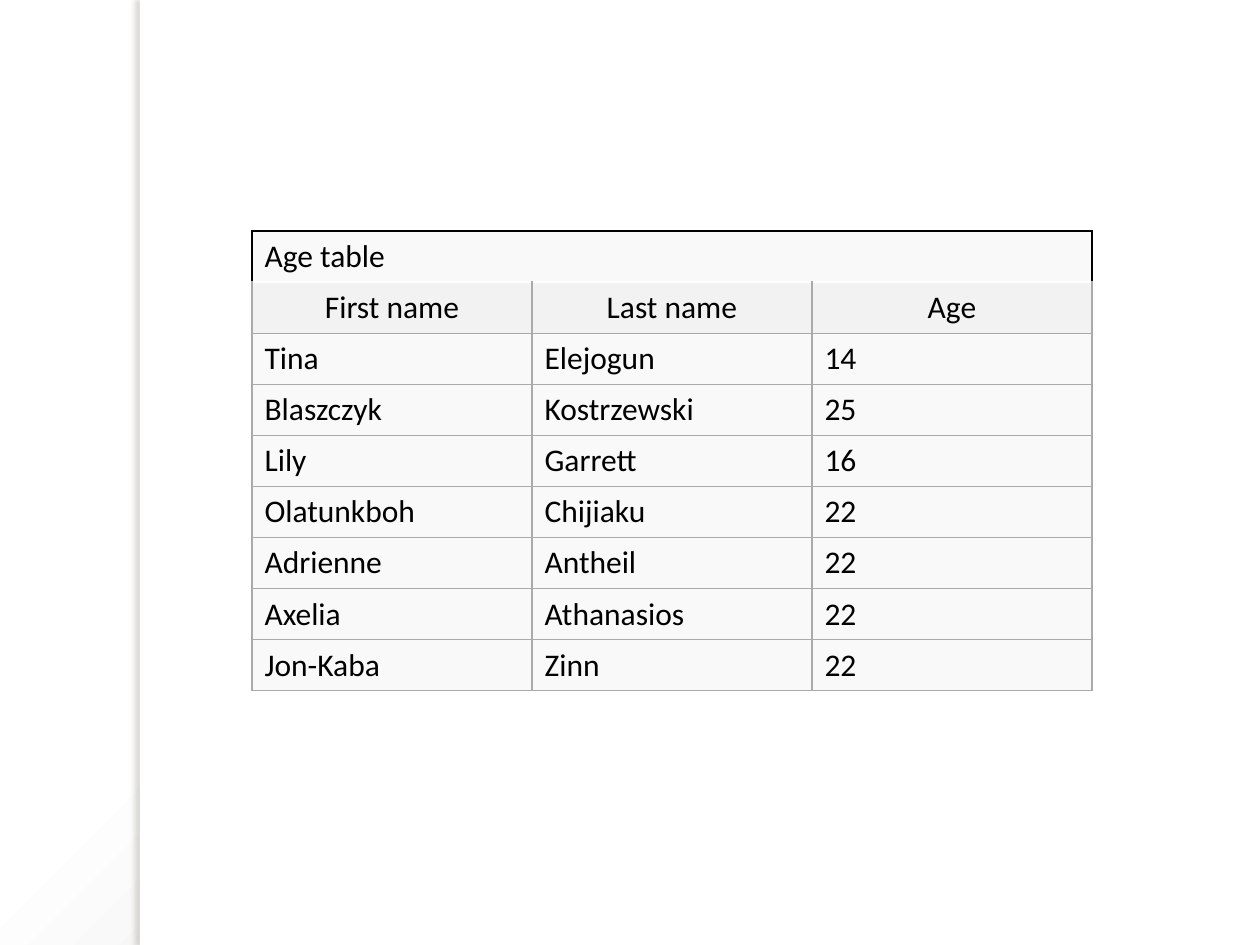
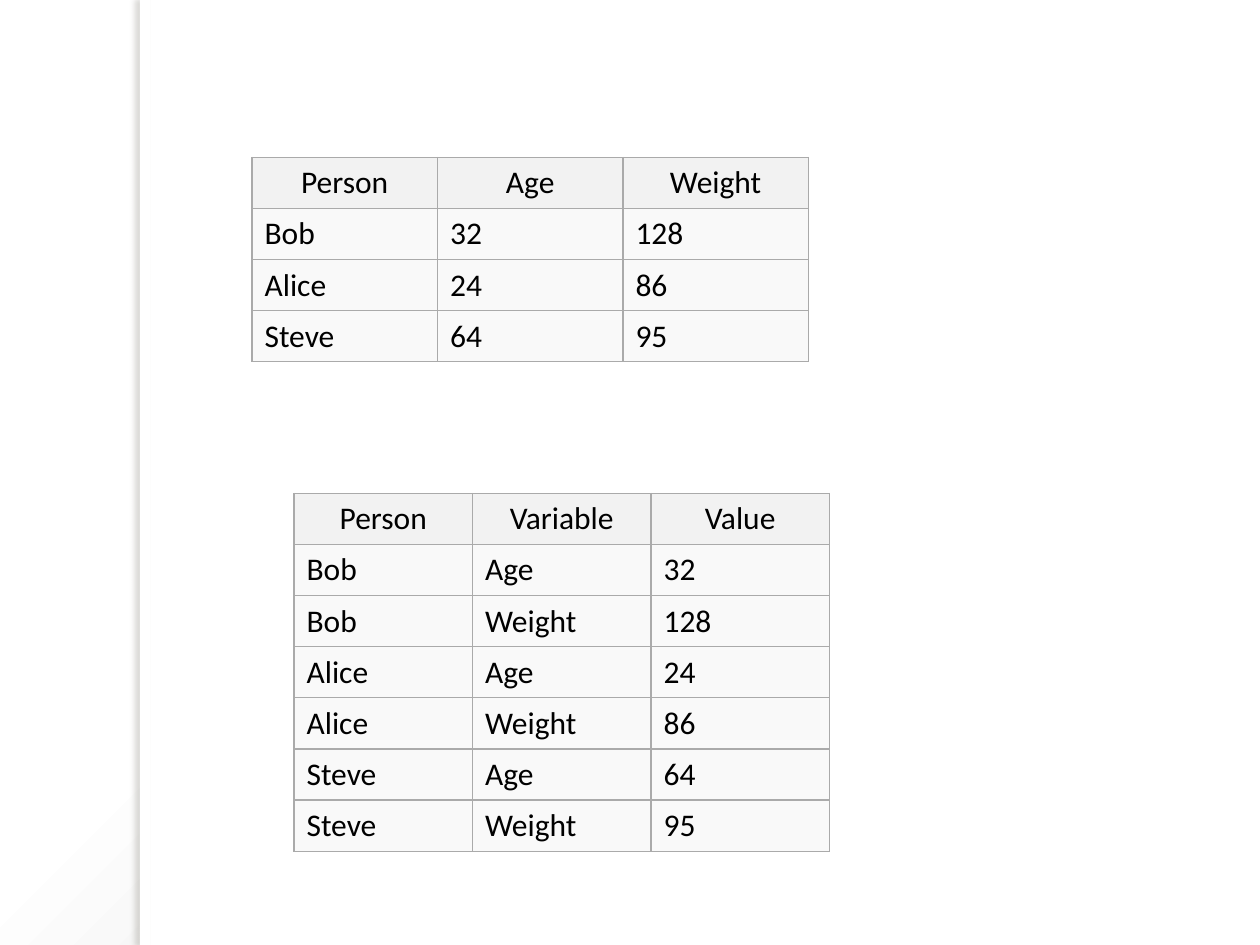
import dataclasses

import lxml.etree
import pptx
import pptx.dml.color
import pptx.enum.shapes
import pptx.enum.text
import pptx.oxml.ns
import pptx.util

qn = pptx.oxml.ns.qn


@dataclasses.dataclass(frozen=True)
class Theme:
    """Colours, type and line widths shared by the slides."""
    font: str = "Calibri"
    text_size: int = 18
    text: str = "000000"
    panel: str = "FFFFFF"
    backdrop_end: str = "C5C5C5"
    shadow: str = "736F63"
    header: str = "F2F2F2"
    body: str = "F9F9F9"
    grid_line: str = "AAAAAA"
    grid_width: float = 0.75
    title_line: str = "000000"
    title_width: float = 1


THEME = Theme()
SLIDE_WIDTH, SLIDE_HEIGHT = pptx.util.Inches(10), pptx.util.Inches(7.5)
# The layout grid has 30 columns and 90 rows.
COLUMN, ROW = SLIDE_WIDTH / 30, SLIDE_HEIGHT / 90
SIDE_COLUMNS = 10 / 3
TABLE_ROW = 4.8


def rgb(colour):
    """Turn a hex string into a colour."""
    return pptx.dml.color.RGBColor.from_string(colour)


def grid_box(left, top, width, height):
    """Convert grid columns and rows into a box in slide units."""
    return (round(left * COLUMN), round(top * ROW),
            round(width * COLUMN), round(height * ROW))


def add_node(parent, tag, **attributes):
    """Append a DrawingML element and return it."""
    values = {key: str(value) for key, value in attributes.items()}
    return lxml.etree.SubElement(parent, qn(tag), values)


def paint_backdrop(slide):
    """Fill the slide with a round gradient that darkens at its far corner."""
    slide.background.fill.gradient()
    gradient = slide.element.find(".//" + qn("a:gradFill"))
    for child in list(gradient):
        gradient.remove(child)
    stops = add_node(gradient, "a:gsLst")
    for percent, colour in ((0, THEME.panel), (40, THEME.panel), (100, THEME.backdrop_end)):
        stop = add_node(stops, "a:gs", pos=percent * 1000)
        add_node(stop, "a:srgbClr", val=colour)
    circle = add_node(gradient, "a:path", path="circle")
    add_node(circle, "a:fillToRect", l=-24000, t=-20000, r=124000, b=120000)


def add_panel(slide, box):
    """Place a plain white panel in the box."""
    panel = slide.shapes.add_shape(pptx.enum.shapes.MSO_SHAPE.RECTANGLE, *box)
    panel.shadow.inherit = False
    panel.fill.solid()
    panel.fill.fore_color.rgb = rgb(THEME.panel)
    panel.line.fill.background()
    return panel


def cast_shadow_left(panel):
    """Give a panel a soft shadow on its left side."""
    effects = panel.element.spPr.find(qn("a:effectLst"))
    distance = pptx.util.Pt(3)
    shadow = add_node(effects, "a:outerShdw", blurRad=distance, dist=distance,
                      dir=180 * 60000, algn="ctr", rotWithShape=0)
    colour = add_node(shadow, "a:srgbClr", val=THEME.shadow)
    add_node(colour, "a:alpha", val=25000)


def add_content_slide(deck):
    """Add a blank slide with the backdrop, content panel and shaded edge."""
    slide = deck.slides.add_slide(deck.slide_layouts[6])
    paint_backdrop(slide)
    add_panel(slide, grid_box(SIDE_COLUMNS, 0, 30 - SIDE_COLUMNS, 90))
    edge = add_panel(slide, grid_box(SIDE_COLUMNS, 0, 0.24, 90))
    cast_shadow_left(edge)
    return slide


def draw_borders(cell, sides, colour, width):
    """Draw solid lines on the named sides, in the order L, R, T, B."""
    properties = cell._tc.get_or_add_tcPr()
    for side in sides:
        line = add_node(properties, "a:ln" + side, w=pptx.util.Pt(width))
        add_node(add_node(line, "a:solidFill"), "a:srgbClr", val=colour)


def fill_cell(cell, text, colour, centred):
    """Set a cell's fill and its text."""
    cell.fill.solid()
    cell.fill.fore_color.rgb = rgb(colour)
    cell.vertical_anchor = pptx.enum.text.MSO_ANCHOR.MIDDLE
    if not text:
        return
    paragraph = cell.text_frame.paragraphs[0]
    if centred:
        paragraph.alignment = pptx.enum.text.PP_ALIGN.CENTER
    run = paragraph.add_run()
    run.text = text
    run.font.name = THEME.font
    run.font.size = pptx.util.Pt(THEME.text_size)
    run.font.color.rgb = rgb(THEME.text)


def add_data_table(slide, left, top, width, header, records, title=None):
    """Place a table by grid units, with an optional title across its top."""
    title_rows = [[title] + [""] * (len(header) - 1)] if title else []
    rows = title_rows + [header] + records
    header_row = len(title_rows)
    box = grid_box(left, top, width, TABLE_ROW * len(rows))
    table = slide.shapes.add_table(len(rows), len(header), *box).table
    table.first_row = table.horz_banding = False
    for row, texts in enumerate(rows):
        for column, text in enumerate(texts):
            cell = table.cell(row, column)
            if row < header_row:
                draw_borders(cell, "LRTB", THEME.title_line, THEME.title_width)
            else:
                sides = "LRB" if title and row == header_row else "LRTB"
                draw_borders(cell, sides, THEME.grid_line, THEME.grid_width)
            is_header = row == header_row
            fill_cell(cell, text, THEME.header if is_header else THEME.body, is_header)
    if title:
        table.cell(0, 0).merge(table.cell(0, len(header) - 1))


def build_age_slide(deck):
    """Slide with the titled table of names and ages."""
    people = [
        ["Tina", "Elejogun", "14"],
        ["Blaszczyk", "Kostrzewski", "25"],
        ["Lily", "Garrett", "16"],
        ["Olatunkboh", "Chijiaku", "22"],
        ["Adrienne", "Antheil", "22"],
        ["Axelia", "Athanasios", "22"],
        ["Jon-Kaba", "Zinn", "22"],
    ]
    add_data_table(add_content_slide(deck), 6, 22, 20,
                   ["First name", "Last name", "Age"], people, "Age table")


def build_wide_and_long_slide(deck):
    """Slide with the same measurements in wide and in long form."""
    slide = add_content_slide(deck)
    variables = ["Age", "Weight"]
    wide = [["Bob", "32", "128"], ["Alice", "24", "86"], ["Steve", "64", "95"]]
    long = [[person, variable, value] for person, *values in wide
            for variable, value in zip(variables, values)]
    add_data_table(slide, 6, 15, 13.25, ["Person"] + variables, wide)
    add_data_table(slide, 7, 47, 12.75, ["Person", "Variable", "Value"], long)


def main():
    """Build and save the deck."""
    deck = pptx.Presentation()
    deck.slide_width, deck.slide_height = SLIDE_WIDTH, SLIDE_HEIGHT
    build_age_slide(deck)
    build_wide_and_long_slide(deck)
    deck.save("out.pptx")


main()
